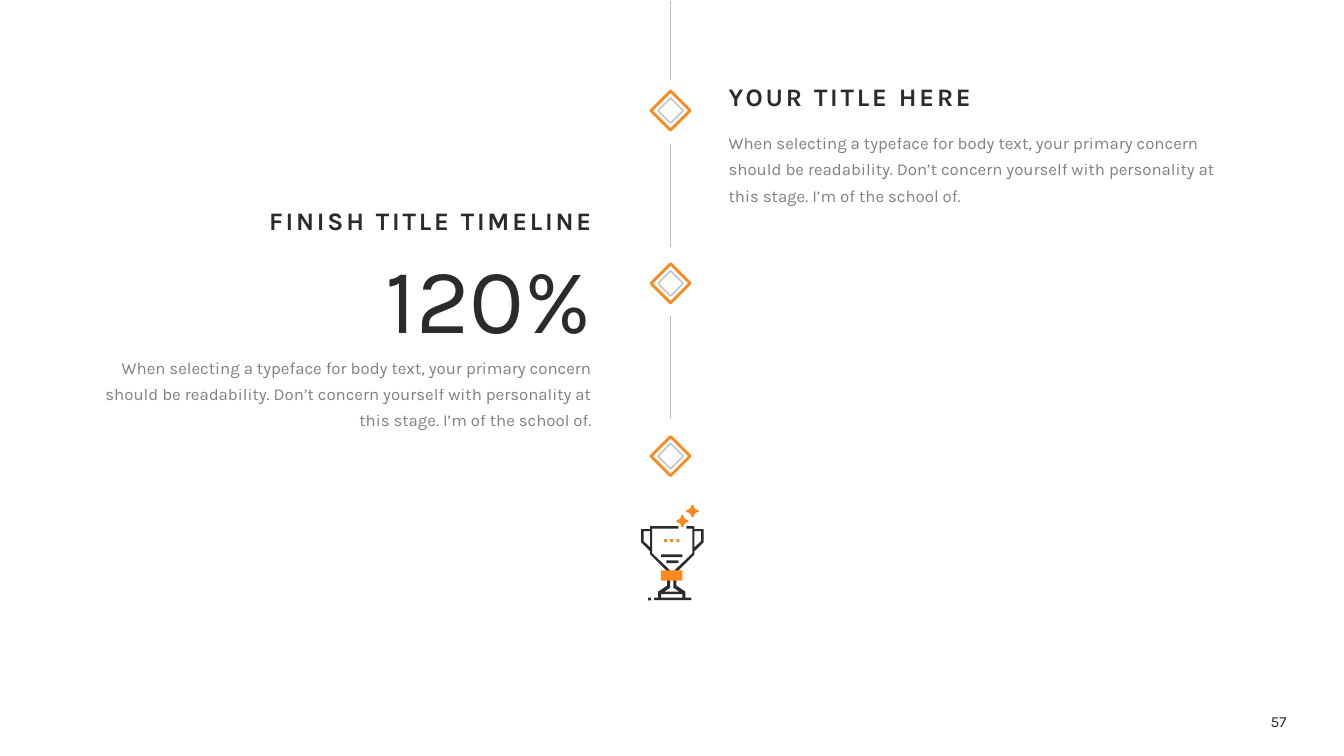
from dataclasses import dataclass
from math import cos, radians, sin

from lxml import etree
from pptx import Presentation
from pptx.dml.color import RGBColor as RGB
from pptx.enum.shapes import MSO_CONNECTOR as CONN, MSO_SHAPE as SHAPE
from pptx.enum.text import MSO_ANCHOR as ANCHOR, PP_ALIGN as ALIGN
from pptx.oxml.ns import qn
from pptx.util import Pt


@dataclass(frozen=True)
class Theme:
    """Colours, font and type sizes of the slide."""
    ink: RGB = RGB(0x2B, 0x2B, 0x2B)
    accent: RGB = RGB(0xFA, 0x89, 0x1E)
    grey: RGB = RGB(0xBF, 0xBF, 0xBF)
    font: str = "Karla"
    page: int = 11
    body: int = 12
    title: int = 18
    figure: int = 66


T = Theme()
BODY = ("When selecting a typeface for body text, your primary concern should be "
        "readability. Don’t concern yourself with personality at this stage. "
        "I’m of the school of.")


def add_text(s, text, x, y, w, h, size=T.body, bold=False, align=ALIGN.LEFT,
             anchor=ANCHOR.TOP, leading=1.0, tracking=0, alpha=100):
    """Add a wrapped text box with one formatted paragraph."""
    tf = s.shapes.add_textbox(Pt(x), Pt(y), Pt(w), Pt(h)).text_frame
    tf.word_wrap = True
    tf.vertical_anchor = anchor
    p = tf.paragraphs[0]
    p.alignment, p.line_spacing = align, leading
    r = p.add_run()
    r.text = text
    r.font.name, r.font.size, r.font.bold = T.font, Pt(size), bold
    r.font.color.rgb = T.ink
    rpr = r._r.get_or_add_rPr()
    if tracking:
        rpr.set("spc", str(tracking * 100))
    if alpha < 100:
        clr = rpr.find(".//" + qn("a:srgbClr"))
        etree.SubElement(clr, qn("a:alpha")).set("val", str(alpha * 1000))


def paint(sp, fill=None, line=None, width=1):
    """Give a shape its fill and outline, without shadow."""
    sp.shadow.inherit = False
    if fill is None:
        sp.fill.background()
    else:
        sp.fill.solid()
        sp.fill.fore_color.rgb = fill
    if line is None:
        sp.line.fill.background()
    else:
        sp.line.color.rgb = line
        sp.line.width = Pt(width)


def add_outline(s, contours, fill):
    """Add one filled freeform from closed contours given in points."""
    fb = None
    for contour in contours:
        start, *rest = [(Pt(x), Pt(y)) for x, y in contour]
        if fb is None:
            fb = s.shapes.build_freeform(*start, scale=1.0)
        else:
            fb.move_to(*start)
        fb.add_line_segments(rest, close=True)
    paint(fb.convert_to_shape(), fill)


def add_stop(s, cx, cy, stem):
    """Add a stem from its top to bottom height and a double diamond at the centre."""
    ln = s.shapes.add_connector(CONN.STRAIGHT, Pt(cx), Pt(stem[0]), Pt(cx), Pt(stem[1]))
    ln.line.color.rgb = T.grey
    ln.line.width = Pt(0.5)
    etree.SubElement(ln._element.spPr, qn("a:effectLst"))
    for size, colour, width in ((28, T.accent, 2), (18, T.grey, 1)):
        sp = s.shapes.add_shape(SHAPE.DIAMOND, Pt(cx - size / 2), Pt(cy - size / 2),
                                Pt(size), Pt(size))
        paint(sp, line=colour, width=width)


def add_timeline(s, cx, first, step):
    """Add three evenly spaced stops down the centre line."""
    for i in range(3):
        cy = first + i * step
        add_stop(s, cx, cy, (cy - 99.8, cy - 26.3) if i else (0.7, cy - 22))


def add_entry(s, x, y, w, title, body_dy, align, figure=None):
    """Add a title, an optional large figure and body text in a column."""
    add_text(s, title, x, y, w, 29.5, T.title, bold=True, align=align,
             leading=0.9, tracking=2)
    if figure:
        add_text(s, figure, x, y + 23, w, 87, T.figure, align=align)
    add_text(s, BODY, x, y + body_dy, w, 64, align=align, leading=1.3, alpha=60)


def sparkle(cx, cy):
    """Return a four-armed star whose sides are quarter circles."""
    star = []
    for turn in range(0, 360, 90):
        mid = radians(turn + 45)
        ox, oy = cx + 6 * 2 ** 0.5 * cos(mid), cy + 6 * 2 ** 0.5 * sin(mid)
        for a in range(270, 179, -15):
            star.append((ox + 5 * cos(radians(a + turn)), oy + 5 * sin(radians(a + turn))))
    return star


def add_trophy(s, x, y, h):
    """Draw a trophy on a grid 62 wide and 95 high, scaled to the given height."""
    u = h / 95

    def draw(fill, *contours):
        """Place grid contours on the slide."""
        add_outline(s, [[(x + a * u, y + b * u) for a, b in c] for c in contours], fill)

    draw(T.ink,
         [(44, 92), (44, 86), (35, 80), (35, 74), (32, 74), (32, 82), (38, 86),
          (23, 86), (29, 82), (29, 74), (26, 74), (26, 80), (17, 86), (17, 92),
          (13, 92), (13, 94.5), (50, 94.5), (50, 92)],
         [(20, 88.5), (41, 88.5), (41, 92), (20, 92)])
    handle = [(2.5, 36), (2.5, 26), (9, 26), (9, 42)]
    for rim, flip in ((37, False), (17, True)):
        cup = [(11, 23.5), (rim, 23.5), (rim, 21), (9, 21), (9, 24), (0, 24), (0, 37),
               (9, 46), (9, 49), (27, 67), (29, 65), (11, 48)]
        draw(T.ink, *[[(62 - a if flip else a, b) for a, b in c] for c in (cup, handle)])
    bars = [(20, 65, 21, 10, T.accent), (20, 49, 21, 2.7, T.ink),
            (25, 55, 12, 2.7, T.ink), (7, 92, 3, 2.7, T.ink)]
    bars += [(23 + 6 * i, 34, 3, 3, T.accent) for i in range(3)]
    for a, b, w, d, fill in bars:
        paint(s.shapes.add_shape(SHAPE.RECTANGLE, Pt(x + a * u), Pt(y + b * u),
                                 Pt(w * u), Pt(d * u)), fill)
    for cx, cy in ((41, 16), (51, 6)):
        draw(T.accent, sparkle(cx, cy))


def main():
    """Build the timeline slide and save it."""
    prs = Presentation()
    prs.slide_width, prs.slide_height = Pt(960), Pt(540)
    s = prs.slides.add_slide(prs.slide_layouts[6])
    add_text(s, "57", 896.4, 507.6, 33.8, 15, T.page, align=ALIGN.CENTER,
             anchor=ANCHOR.MIDDLE)
    add_timeline(s, 479, 79, 123.4)
    add_entry(s, 513.4, 56.9, 374.4, "YOUR TITLE HERE", 30.2, ALIGN.LEFT)
    add_entry(s, 55.4, 145.4, 374.4, "FINISH TITLE TIMELINE", 102.3, ALIGN.RIGHT, "120%")
    add_trophy(s, 457.9, 360.7, 68.4)
    prs.save("out.pptx")


if __name__ == "__main__":
    main()
